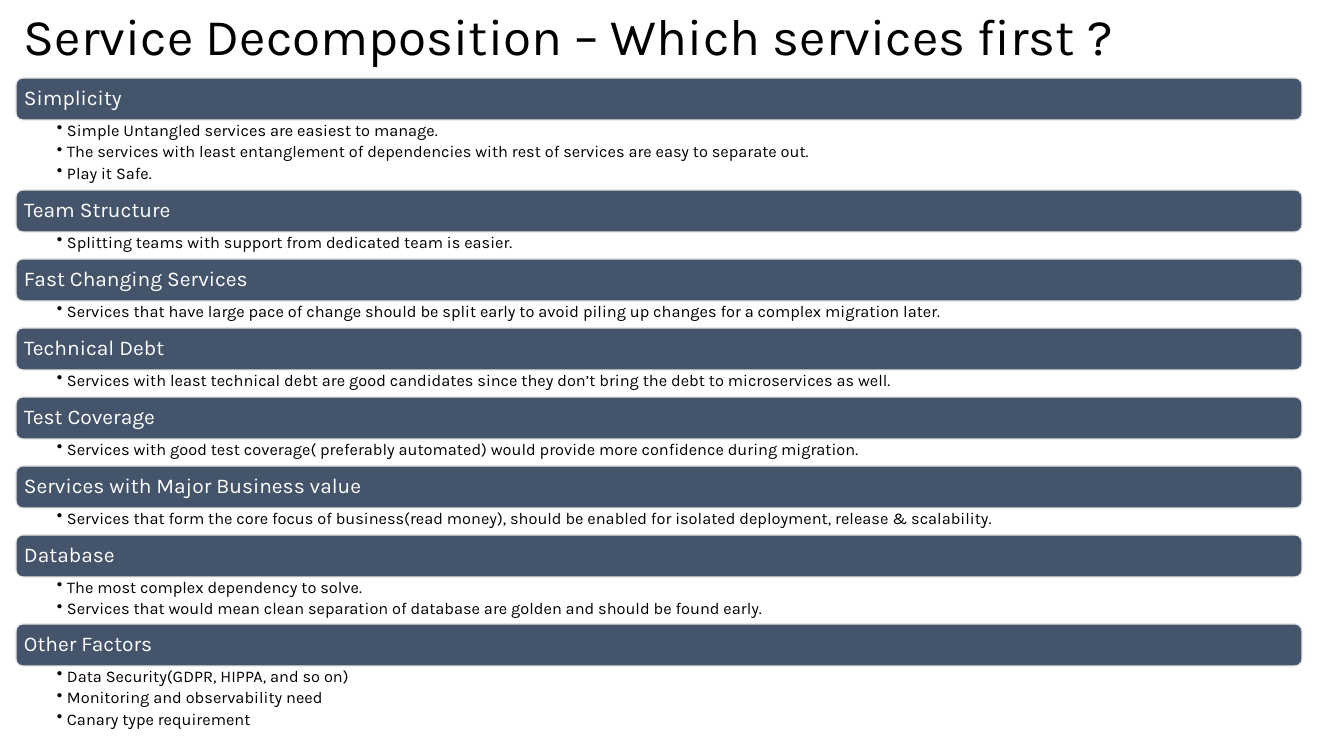
import pptx
import pptx.util
import pptx.dml.color
import pptx.enum.shapes
import pptx.enum.text
import pptx.oxml.ns
from lxml import etree

RGB = pptx.dml.color.RGBColor
SLATE = RGB(0x44, 0x54, 0x6A)
EDGE = RGB(0xE7, 0xE6, 0xE6)
WHITE = RGB(0xFF, 0xFF, 0xFF)
BLACK = RGB(0, 0, 0)
FONT = "Karla"
MIDDLE = pptx.enum.text.MSO_ANCHOR.MIDDLE
TOP = pptx.enum.text.MSO_ANCHOR.TOP
LEFT = pptx.enum.text.PP_ALIGN.LEFT

BAND = 42
BODY = {1: 27, 2: 47, 3: 70}  # body height by number of bullets

FACTORS = [
    ("Simplicity", [
        "Simple Untangled services are easiest to manage.",
        "The services with least entanglement of dependencies with rest of "
        "services are easy to separate out.",
        "Play it Safe."]),
    ("Team Structure", [
        "Splitting teams with support from dedicated team is easier."]),
    ("Fast Changing Services", [
        "Services that have large pace of change should be split early to "
        "avoid piling up changes for a complex migration later."]),
    ("Technical Debt", [
        "Services with least technical debt are good candidates since they "
        "don’t bring the debt to microservices as well."]),
    ("Test Coverage", [
        "Services with good test coverage( preferably automated) would "
        "provide more confidence during migration."]),
    ("Services with Major Business value", [
        "Services that form the core focus of business(read money), should "
        "be enabled for isolated deployment, release & scalability."]),
    ("Database", [
        "The most complex dependency to solve.",
        "Services that would mean clean separation of database are golden "
        "and should be found early."]),
    ("Other Factors", [
        "Data Security(GDPR, HIPPA, and so on)",
        "Monitoring and observability need",
        "Canary type requirement"]),
]


def px(n):
    return pptx.util.Emu(round(n * 914400 / 84))


def bullet(para):
    props = para._p.get_or_add_pPr()
    props.set("marL", str(px(10)))
    props.set("indent", str(-px(10)))
    mark = etree.SubElement(props, pptx.oxml.ns.qn("a:buChar"))
    mark.set("char", "•")


def write(shape, lines, size, color, anchor, pads, bullets=False):
    """Fill a shape with paragraphs; pads are left, top, right, bottom."""
    frame = shape.text_frame
    frame.word_wrap = True
    frame.vertical_anchor = anchor
    (frame.margin_left, frame.margin_top,
     frame.margin_right, frame.margin_bottom) = map(px, pads)
    for i, line in enumerate(lines):
        para = frame.add_paragraph() if i else frame.paragraphs[0]
        para.text = line
        if bullets:
            bullet(para)
            para.space_after = pptx.util.Pt(3.3)
        para.alignment = LEFT
        para.line_spacing = 0.9
        para.font.name = FONT
        para.font.size = pptx.util.Pt(size)
        para.font.color.rgb = color


def title(slide, x, y, w, h):
    box = slide.shapes.add_textbox(*map(px, (x, y, w, h)))
    write(box, ["Service Decomposition – Which services first ?"],
          44, BLACK, MIDDLE, (8, 4, 8, 4))


def factor(slide, x, y, w, name, points):
    """Draw a heading band with its bullets and return the bottom edge."""
    kind = pptx.enum.shapes.MSO_SHAPE.ROUNDED_RECTANGLE
    band = slide.shapes.add_shape(kind, *map(px, (x, y, w, BAND)))
    band.shadow.inherit = False
    band.fill.solid()
    band.fill.fore_color.rgb = SLATE
    band.line.color.rgb = EDGE
    band.line.width = pptx.util.Pt(1)
    write(band, [name], 18, WHITE, MIDDLE, (6, 4, 6, 4))

    tall = BODY[len(points)]
    body = slide.shapes.add_textbox(*map(px, (x, y + BAND, w, tall)))
    write(body, points, 14, BLACK, TOP, (41, 2, 12, 2), bullets=True)
    return y + BAND + tall


def main():
    deck = pptx.Presentation()
    deck.slide_width = px(1344)
    deck.slide_height = px(756)
    slide = deck.slides.add_slide(deck.slide_layouts[6])
    title(slide, 16, 17, 1320, 44)
    y = 78
    for name, points in FACTORS:
        y = factor(slide, 16, y, 1286, name, points)
    deck.save("out.pptx")


if __name__ == "__main__":
    main()
